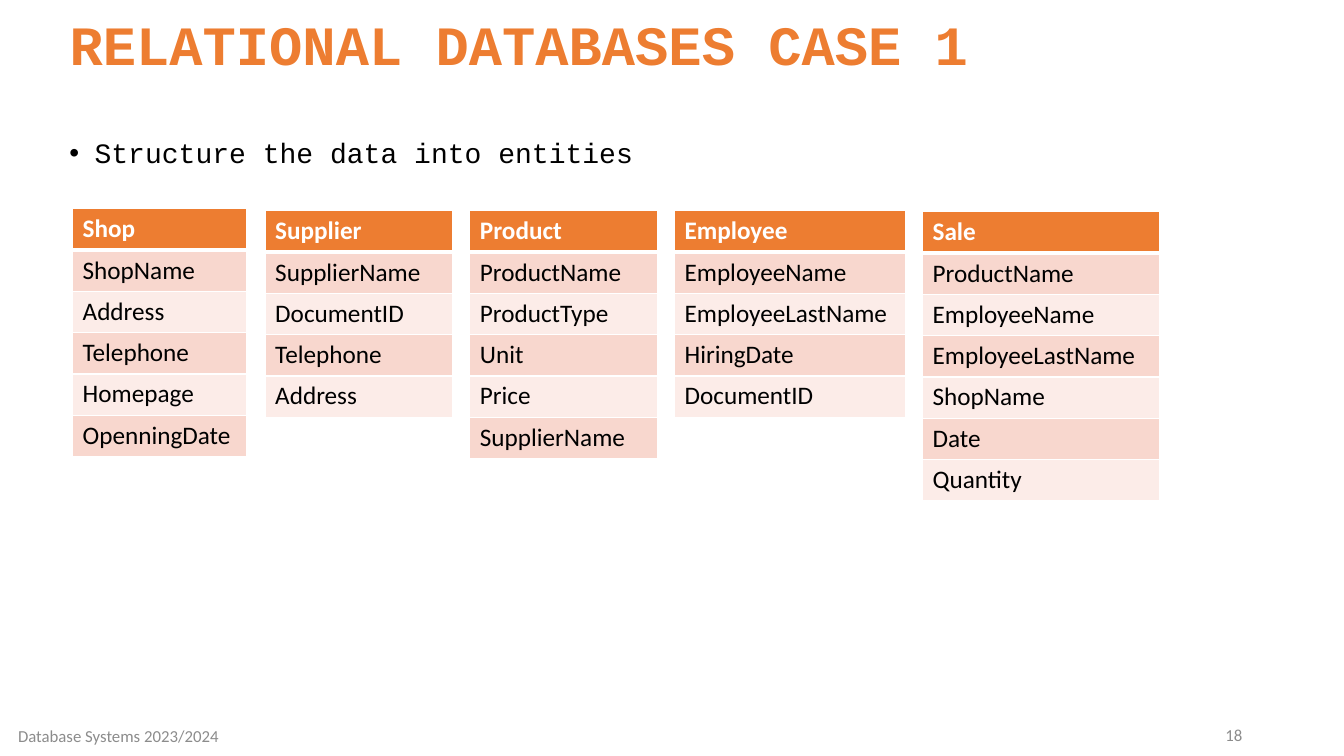
from dataclasses import dataclass

import pptx
import pptx.dml.color
import pptx.enum.text
import pptx.oxml
import pptx.oxml.ns
import pptx.util
from pptx.util import Inches

ORANGE = "ED7D31"
WHITE = "FFFFFF"
BLACK = "000000"
GREY = "8C8C8C"
BANDS = ("F8D7CE", "FCECE8")
ROW_HEIGHT = 0.41
ALIGN = pptx.enum.text.PP_ALIGN


@dataclass(frozen=True)
class Entity:
    name: str
    left: float
    top: float
    width: float
    attributes: tuple[str, ...]


@dataclass(frozen=True)
class Label:
    text: str
    left: float
    top: float
    width: float
    height: float
    anchor: pptx.enum.text.MSO_ANCHOR
    paragraph_format: dict
    font_format: dict


ENTITIES = (
    Entity("Shop", 0.72, 2.07, 1.73,
           ("ShopName", "Address", "Telephone", "Homepage", "OpenningDate")),
    Entity("Supplier", 2.63, 2.09, 1.86,
           ("SupplierName", "DocumentID", "Telephone", "Address")),
    Entity("Product", 4.66, 2.09, 1.86,
           ("ProductName", "ProductType", "Unit", "Price", "SupplierName")),
    Entity("Employee", 6.69, 2.09, 2.29,
           ("EmployeeName", "EmployeeLastName", "HiringDate", "DocumentID")),
    Entity("Sale", 9.15, 2.1, 2.35,
           ("ProductName", "EmployeeName", "EmployeeLastName", "ShopName", "Date", "Quantity")),
)

MIDDLE = pptx.enum.text.MSO_ANCHOR.MIDDLE
TOP = pptx.enum.text.MSO_ANCHOR.TOP
FOOTER_FONT = {"name": "Calibri", "size": 12, "color": GREY}

TITLE = Label("RELATIONAL DATABASES CASE 1", 0.59, 0.15, 11.72, 0.69, MIDDLE,
              {"alignment": ALIGN.LEFT, "line_spacing": 0.8},
              {"name": "Courier New", "size": 39.6, "color": ORANGE, "bold": True})
BULLET = Label("Structure the data into entities", 0.59, 1.33, 11.5, 0.59, TOP,
               {"alignment": ALIGN.LEFT, "line_spacing": 0.9},
               {"name": "Courier New", "size": 20, "color": BLACK})
FOOTERS = (
    Label("18", 9.42, 7.09, 3, 0.4, MIDDLE, {"alignment": ALIGN.RIGHT}, FOOTER_FONT),
    Label("Database Systems 2023/2024", 0, 7.1, 2.35, 0.4, MIDDLE,
          {"alignment": ALIGN.CENTER}, FOOTER_FONT),
)


def rgb(color: str) -> pptx.dml.color.RGBColor:
    return pptx.dml.color.RGBColor.from_string(color)


def apply_font(font, font_format: dict) -> None:
    for attribute, value in font_format.items():
        if attribute == "color":
            font.color.rgb = rgb(value)
        else:
            setattr(font, attribute, pptx.util.Pt(value) if attribute == "size" else value)


def add_bullet(paragraph) -> None:
    properties = paragraph._p.get_or_add_pPr()
    properties.set("marL", str(Inches(0.25)))
    properties.set("indent", str(Inches(-0.25)))
    namespace = pptx.oxml.ns.nsdecls("a")
    properties.append(pptx.oxml.parse_xml(f'<a:buFont {namespace} typeface="Arial"/>'))
    properties.append(pptx.oxml.parse_xml(f'<a:buChar {namespace} char="•"/>'))


def write_label(shape, label: Label, bulleted: bool = False) -> None:
    for attribute in ("left", "top", "width", "height"):
        setattr(shape, attribute, Inches(getattr(label, attribute)))
    frame = shape.text_frame
    frame.text = label.text
    frame.word_wrap = True
    frame.auto_size = pptx.enum.text.MSO_AUTO_SIZE.NONE
    frame.vertical_anchor = label.anchor
    paragraph = frame.paragraphs[0]
    if bulleted:
        add_bullet(paragraph)
    for attribute, value in label.paragraph_format.items():
        setattr(paragraph, attribute, value)
    apply_font(paragraph.runs[0].font, label.font_format)


def add_label(slide, label: Label, bulleted: bool = False) -> None:
    write_label(slide.shapes.add_textbox(0, 0, 0, 0), label, bulleted)


def set_borders(cell, widths: dict[str, float]) -> None:
    properties = cell._tc.get_or_add_tcPr()
    for side, width in widths.items():
        properties.append(pptx.oxml.parse_xml(
            f'<a:ln{side} {pptx.oxml.ns.nsdecls("a")} w="{pptx.util.Pt(width)}">'
            f'<a:solidFill><a:srgbClr val="{WHITE}"/></a:solidFill></a:ln{side}>'))


def add_entity(slide, entity: Entity) -> None:
    texts = (entity.name, *entity.attributes)
    table = slide.shapes.add_table(
        len(texts), 1, Inches(entity.left), Inches(entity.top),
        Inches(entity.width), Inches(ROW_HEIGHT * len(texts))).table
    for row, text in enumerate(texts):
        header = row == 0
        cell = table.cell(row, 0)
        cell.text = text
        set_borders(cell, {"L": 1, "R": 1, "T": 3 if row == 1 else 1, "B": 3 if header else 1})
        cell.fill.solid()
        cell.fill.fore_color.rgb = rgb(ORANGE if header else BANDS[(row - 1) % 2])
        apply_font(cell.text_frame.paragraphs[0].runs[0].font,
                   {"name": "Calibri", "size": 18, "bold": header,
                    "color": WHITE if header else BLACK})


def main() -> None:
    presentation = pptx.Presentation()
    presentation.slide_width = Inches(13.33)
    presentation.slide_height = Inches(7.5)
    slide = presentation.slides.add_slide(presentation.slide_layouts.get_by_name("Title Only"))
    write_label(slide.shapes.title, TITLE)
    add_label(slide, BULLET, bulleted=True)
    for entity in ENTITIES:
        add_entity(slide, entity)
    for footer in FOOTERS:
        add_label(slide, footer)
    presentation.save("out.pptx")


if __name__ == "__main__":
    main()
